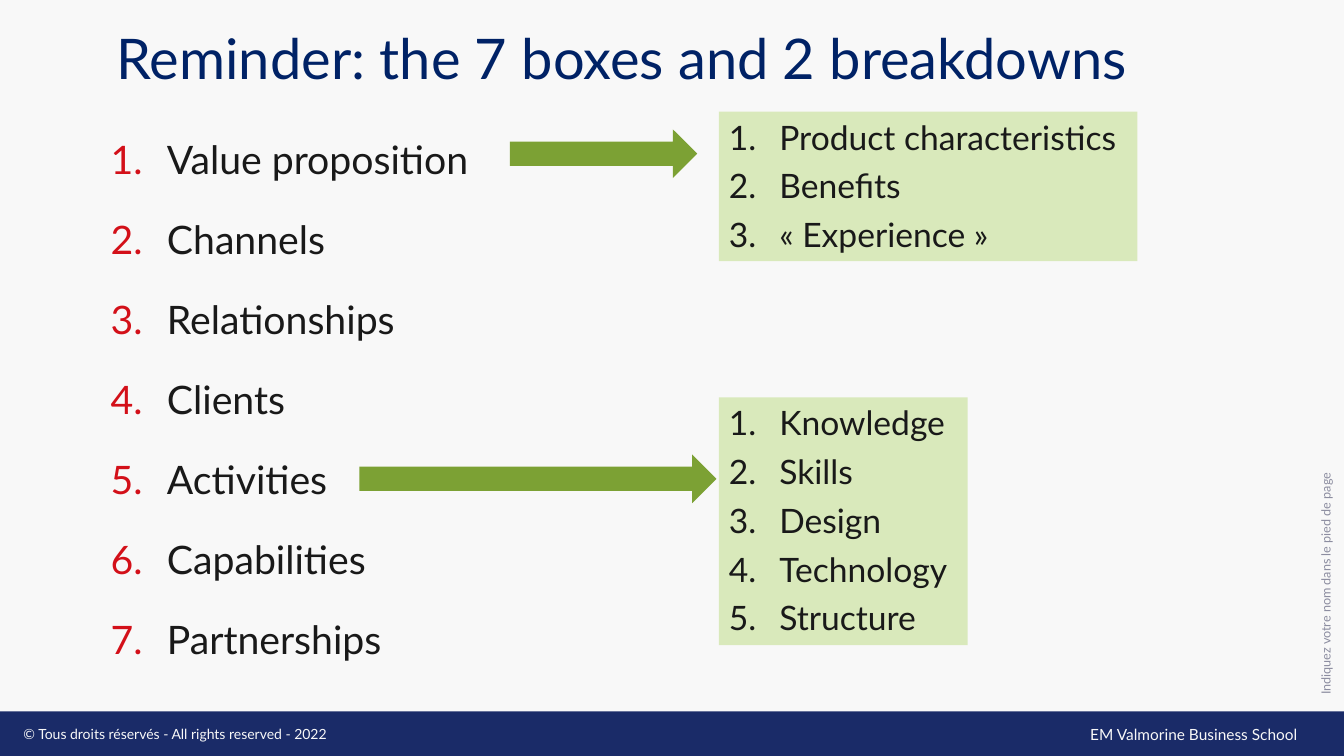
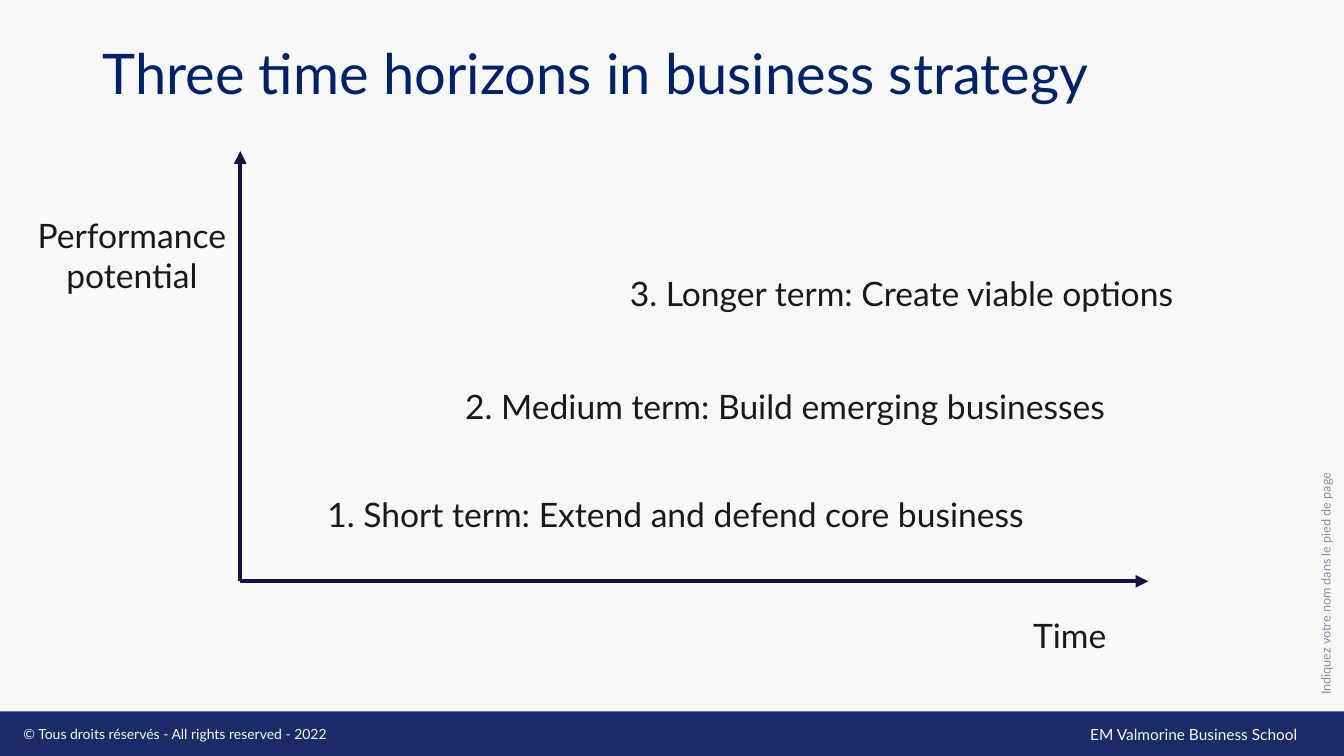
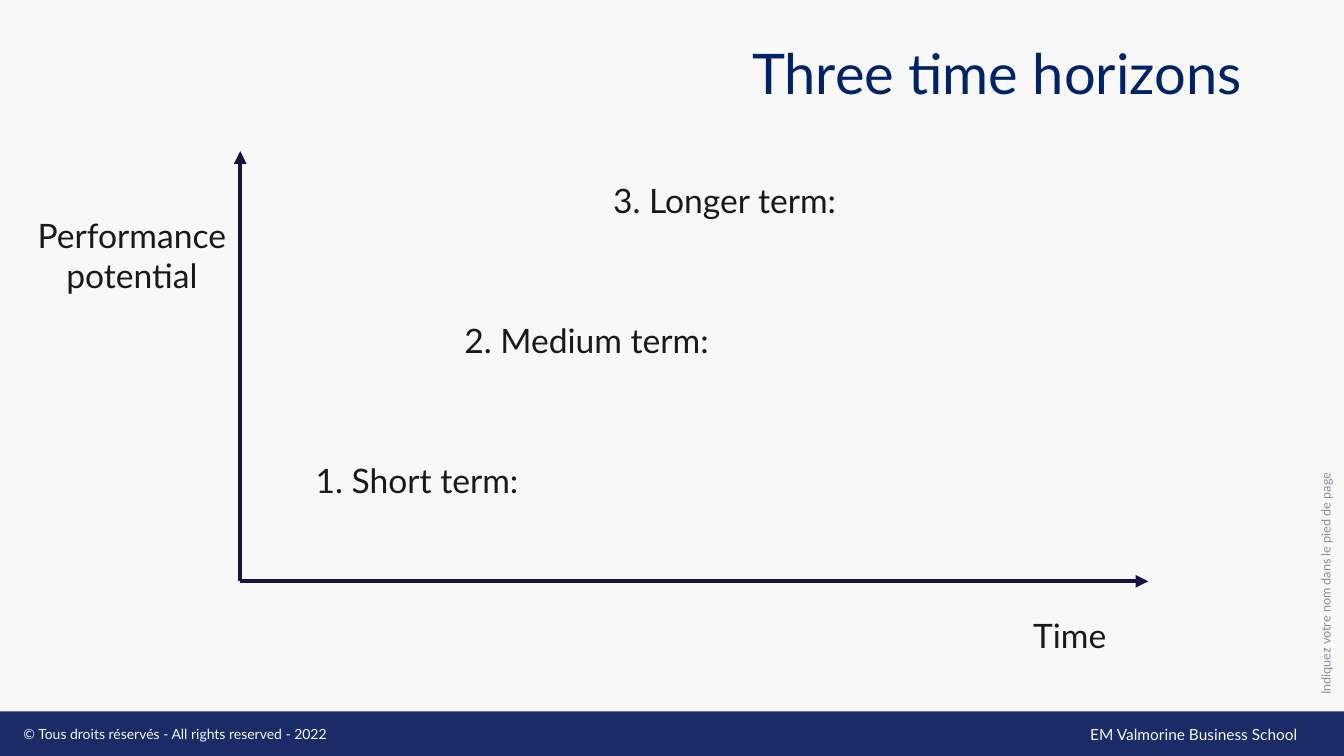
from pptx import Presentation
from pptx.dml.color import RGBColor
from pptx.enum.shapes import MSO_CONNECTOR, MSO_SHAPE
from pptx.enum.text import MSO_ANCHOR, MSO_AUTO_SIZE, PP_ALIGN
from pptx.oxml.ns import qn
from pptx.util import Inches, Pt
from lxml import etree

LEFT, CENTER, RIGHT = PP_ALIGN.LEFT, PP_ALIGN.CENTER, PP_ALIGN.RIGHT
TOP, MIDDLE = MSO_ANCHOR.TOP, MSO_ANCHOR.MIDDLE
FIXED, GROW = MSO_AUTO_SIZE.NONE, MSO_AUTO_SIZE.SHAPE_TO_FIT_TEXT
RECTANGLE, RIGHT_ARROW = MSO_SHAPE.RECTANGLE, MSO_SHAPE.RIGHT_ARROW
STRAIGHT = MSO_CONNECTOR.STRAIGHT

COLUMNS, ROWS = 160, 90
TITLE_AND_CONTENT, TITLE_ONLY = 1, 5
FONT = "Lato"
COLORS = {
    "background": "F8F8F8",
    "band": "1A2B68",
    "title": "002266",
    "text": "191919",
    "number": "D31019",
    "side": "8C8DA0",
    "panel": "D9E9BB",
    "arrow": "7CA134",
    "axis": "161344",
}


def rgb(name):
    return RGBColor.from_string(COLORS[name])


def number_paragraph(paragraph, hanging, indent, color):
    properties = paragraph._p.get_or_add_pPr()
    properties.set("marL", str(Inches(indent)))
    properties.set("indent", str(-Inches(hanging)))
    if color:
        bullet_color = etree.SubElement(properties, qn("a:buClr"))
        etree.SubElement(bullet_color, qn("a:srgbClr"), val=COLORS[color])
    etree.SubElement(properties, qn("a:buFont"), typeface="+mj-lt")
    etree.SubElement(properties, qn("a:buAutoNum"), type="arabicPeriod")


def write_text(frame, lines, size=24, color="text", align=LEFT, anchor=TOP,
               wrap=True, fit=FIXED, line_spacing=1.0, before=0, after=0,
               hanging=0, indent=0, number_color=None):
    frame.word_wrap = wrap
    frame.auto_size = fit
    frame.vertical_anchor = anchor
    for position, line in enumerate(lines):
        paragraph = frame.add_paragraph() if position else frame.paragraphs[0]
        paragraph.alignment = align
        paragraph.line_spacing = line_spacing
        paragraph.space_before = Pt(before)
        paragraph.space_after = Pt(after)
        if hanging:
            number_paragraph(paragraph, hanging, indent, number_color)
        run = paragraph.add_run()
        run.text = line
        run.font.name = FONT
        run.font.size = Pt(size)
        run.font.color.rgb = rgb(color)


class Deck:
    def __init__(self):
        self.presentation = Presentation()
        self.presentation.slide_width = Inches(13.33)
        self.presentation.slide_height = Inches(7.5)
        self.column = self.presentation.slide_width / COLUMNS
        self.row = self.presentation.slide_height / ROWS
        background = self.presentation.slide_master.background.fill
        background.solid()
        background.fore_color.rgb = rgb("background")
        self.slide = None

    def place(self, column, row, columns, rows):
        return (round(column * self.column), round(row * self.row),
                round(columns * self.column), round(rows * self.row))

    def move(self, placeholder, *area):
        (placeholder.left, placeholder.top,
         placeholder.width, placeholder.height) = self.place(*area)

    def start_slide(self, title, layout=TITLE_ONLY, column=11, row=4.8, align=LEFT):
        layouts = self.presentation.slide_layouts
        self.slide = self.presentation.slides.add_slide(layouts[layout])
        self.shape(RECTANGLE, "band", 0, 84.7, COLUMNS, 5.3)
        self.text(["EM Valmorine Business School"], 128.6, 85.7, 29.4, 3.5,
                  size=11, color="background", wrap=True)
        self.text([" © Tous droits réservés - All rights reserved - 2022"],
                  1.2, 85.8, 53.4, 3.2, size=10, color="background", wrap=True)
        side_note = self.text(["Indiquez votre nom dans le pied de page"],
                              156.4, 5.9, 2.8, 78, size=9, color="side",
                              anchor=MIDDLE, wrap=True, fit=FIXED)
        side_note.element.txBody.bodyPr.set("vert", "vert270")
        heading = self.slide.shapes.title
        self.move(heading, column, row, 138, 8.5)
        write_text(heading.text_frame, [title], size=40, color="title",
                   align=align, anchor=MIDDLE, line_spacing=0.9)

    def body(self, lines, *area):
        content = self.slide.placeholders[1]
        self.move(content, *area)
        content.text_frame.margin_left = Inches(0.06)
        write_text(content.text_frame, lines, size=28, line_spacing=1.4, before=10,
                   hanging=0.56, indent=0.68, number_color="number")

    def shape(self, preset, color, *area):
        shape = self.slide.shapes.add_shape(preset, *self.place(*area))
        shape.shadow.inherit = False
        shape.fill.solid()
        shape.fill.fore_color.rgb = rgb(color)
        shape.line.fill.background()
        return shape

    def breakdown(self, lines, *area):
        panel = self.shape(RECTANGLE, "panel", *area)
        write_text(panel.text_frame, lines, wrap=False, fit=GROW, after=6,
                   hanging=0.5, indent=0.5)

    def text(self, lines, *area, wrap=False, fit=GROW, **style):
        box = self.slide.shapes.add_textbox(*self.place(*area))
        write_text(box.text_frame, lines, wrap=wrap, fit=fit, **style)
        return box

    def axis(self, start, end):
        ends = self.place(*start, *end)
        axis = self.slide.shapes.add_connector(STRAIGHT, *ends)
        axis.line.color.rgb = rgb("axis")
        axis.line.width = Pt(3)
        properties = axis.element.spPr
        etree.SubElement(properties.find(qn("a:ln")), qn("a:tailEnd"), type="triangle")
        etree.SubElement(properties, qn("a:effectLst"))

    def horizon_chart(self, horizons):
        origin = (28.6, 69.2)
        self.axis(origin, (28.6, 18))
        self.axis(origin, (136.7, 69.2))
        self.text(["Performance", "potential"], 2.8, 25, 25.8, 10.9, align=CENTER)
        self.text(["Time"], 121.6, 72.6, 11.5, 6, align=CENTER)
        for label, column, row, columns in horizons:
            self.text([label], column, row, columns, 6)


def main():
    deck = Deck()

    deck.start_slide("Reminder: the 7 boxes and 2 breakdowns",
                     TITLE_AND_CONTENT, column=12.7, row=3.1)
    deck.body(["Value proposition", "Channels", "Relationships", "Clients",
               "Activities", "Capabilities", "Partnerships"], 11, 13.3, 138, 67.8)
    deck.breakdown(["Product characteristics", "Benefits", "«\u00a0Experience\u00a0»"],
                   85.6, 13.3, 49.8, 17.8)
    deck.breakdown(["Knowledge", "Skills", "Design", "Technology", "Structure"],
                   85.6, 47.3, 29.6, 29.5)
    deck.shape(RIGHT_ARROW, "arrow", 60.7, 15.4, 22.3, 5.8)
    deck.shape(RIGHT_ARROW, "arrow", 42.8, 54.1, 42.5, 5.8)

    deck.start_slide("Three time horizons in business strategy")
    deck.horizon_chart([
        ("1. Short term: Extend and defend core business", 37.8, 58.2, 89.8),
        ("2. Medium term: Build emerging businesses", 54.2, 45.4, 83.6),
        ("3. Longer term: Create viable options", 73.8, 31.9, 70.9),
    ])

    deck.start_slide("Three time horizons", align=RIGHT)
    terms = [("1. Short term:", 27.4), ("2. Medium term:", 33), ("3. Longer term:", 30.7)]
    deck.horizon_chart([
        (label, 36.4 + 17.7 * step, 54.2 - 16.7 * step, columns)
        for step, (label, columns) in enumerate(terms)
    ])

    deck.presentation.save("out.pptx")


if __name__ == "__main__":
    main()
